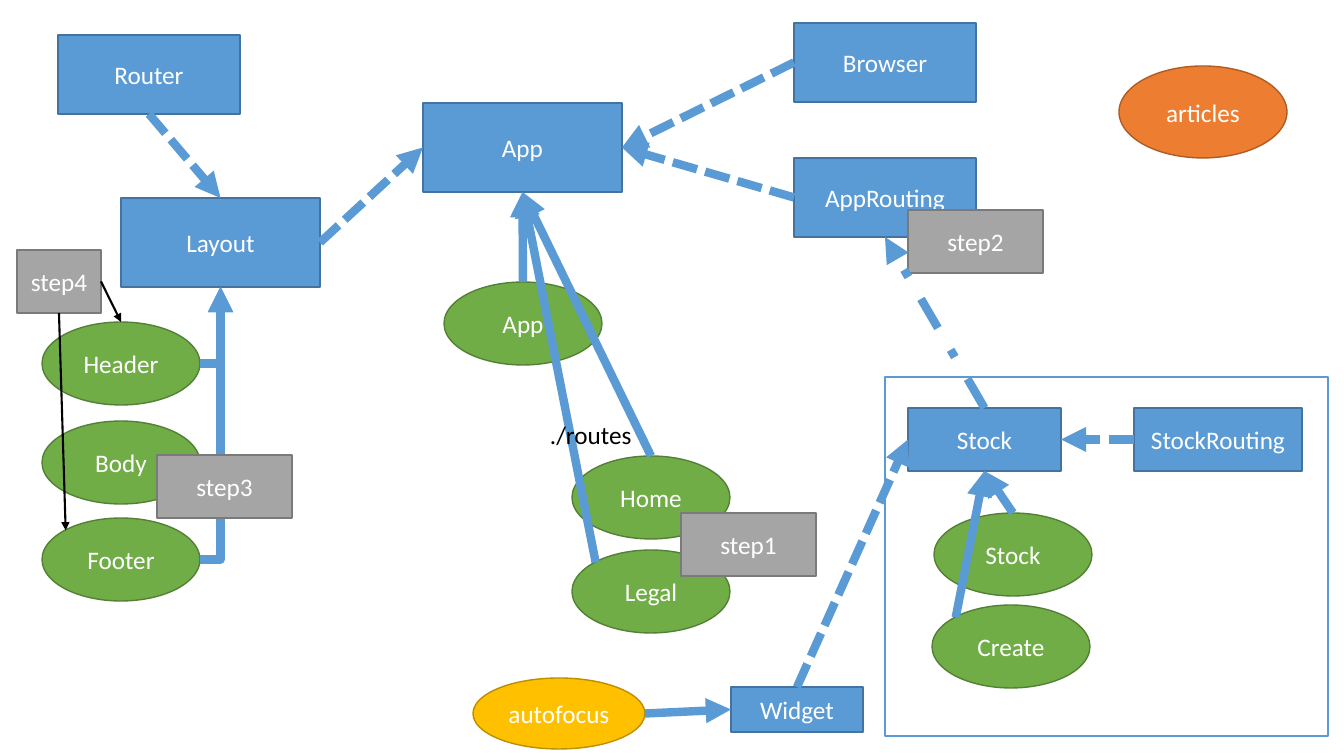
from lxml import etree
from pptx import Presentation
from pptx.dml.color import RGBColor
from pptx.enum.shapes import MSO_CONNECTOR, MSO_SHAPE
from pptx.enum.text import MSO_ANCHOR, PP_ALIGN
from pptx.oxml.ns import qn
from pptx.util import Pt

PX = 914400 / 100.8
WHITE = RGBColor(0xFF, 0xFF, 0xFF)
BLACK = RGBColor(0x00, 0x00, 0x00)
BLUE = RGBColor(0x5B, 0x9B, 0xD5)
BLUE_EDGE = RGBColor(0x43, 0x73, 0x9E)
GREEN = RGBColor(0x70, 0xAD, 0x47)
GREEN_EDGE = RGBColor(0x53, 0x80, 0x35)
GRAY = RGBColor(0xA5, 0xA5, 0xA5)
GRAY_EDGE = RGBColor(0x7A, 0x7A, 0x7A)
ORANGE = RGBColor(0xED, 0x7D, 0x31)
ORANGE_EDGE = RGBColor(0xAF, 0x5C, 0x24)
GOLD = RGBColor(0xFF, 0xC0, 0x00)
GOLD_EDGE = RGBColor(0xBD, 0x8E, 0x00)

RECT, OVAL = MSO_SHAPE.RECTANGLE, MSO_SHAPE.OVAL
MODULE = (RECT, BLUE, BLUE_EDGE)
COMPONENT = (OVAL, GREEN, GREEN_EDGE)
STEP = (RECT, GRAY, GRAY_EDGE)
PANEL = (RECT, WHITE, BLUE)
ARTICLES = (OVAL, ORANGE, ORANGE_EDGE)
DIRECTIVE = (OVAL, GOLD, GOLD_EDGE)

OVAL_SIZE = (158, 83)
STEP_SIZE = (135, 63)
ROOT_SIZE = (199, 89)
ROUTER_SIZE = (182, 79)

SITE_POINTS = {"top": (0.5, 0), "left": (0, 0.5), "bottom": (0.5, 1),
               "right": (1, 0.5), "top left": (0.15, 0.15)}
SITE_INDEX = {RECT: {"top": 0, "left": 1, "bottom": 2, "right": 3},
              OVAL: {"top": 0, "top left": 1, "left": 2, "bottom": 4, "right": 6}}


def px(value):
    return round(value * PX)


def write(shape, text, color):
    run = shape.text_frame.paragraphs[0].add_run()
    run.text = text
    run.font.name = "Calibri"
    run.font.size = Pt(18)
    run.font.color.rgb = color


def node(slide, box, style, text, left, top, width, height):
    kind, fill, edge = style
    shape = slide.shapes.add_shape(
        kind, px(box[0] + left), px(box[1] + top), px(width), px(height))
    shape.shadow.inherit = False
    shape.fill.solid()
    shape.fill.fore_color.rgb = fill
    shape.line.color.rgb = edge
    shape.line.width = Pt(1)
    if text:
        shape.text_frame.vertical_anchor = MSO_ANCHOR.MIDDLE
        shape.text_frame.paragraphs[0].alignment = PP_ALIGN.CENTER
        write(shape, text, WHITE)
    return shape


def site_position(shape, site):
    across, down = SITE_POINTS[site]
    return (round(shape.left + across * shape.width),
            round(shape.top + down * shape.height))


def arrow(slide, source, source_site, target, target_site,
          dash=None, color=BLUE, width=6, bent=False):
    kind = MSO_CONNECTOR.ELBOW if bent else MSO_CONNECTOR.STRAIGHT
    line = slide.shapes.add_connector(
        kind, *site_position(source, source_site), *site_position(target, target_site))
    line.line.color.rgb = color
    line.line.width = Pt(width)
    properties = line._element.spPr
    if bent:
        properties.find(qn("a:prstGeom")).set("prst", "bentConnector2")
    outline = properties.find(qn("a:ln"))
    if dash:
        etree.SubElement(outline, qn("a:prstDash"), val=dash)
    etree.SubElement(outline, qn("a:tailEnd"), type="triangle")
    etree.SubElement(properties, qn("a:effectLst"))
    glue = line._element.nvCxnSpPr.cNvCxnSpPr
    for tag, shape, site in (("a:stCxn", source, source_site),
                             ("a:endCxn", target, target_site)):
        index = SITE_INDEX[shape.auto_shape_type][site]
        etree.SubElement(glue, qn(tag), id=str(shape.shape_id), idx=str(index))


def app_region(slide, box):
    app = node(slide, box, MODULE, "App", 0, 80, *ROOT_SIZE)
    app_component = node(slide, box, COMPONENT, "App", 21, 259, *OVAL_SIZE)
    arrow(slide, app_component, "top", app, "bottom")
    browser = node(slide, box, MODULE, "Browser", 371, 0, *ROUTER_SIZE)
    routing = node(slide, box, MODULE, "AppRouting", 371, 135, *ROUTER_SIZE)
    for module in (browser, routing):
        arrow(slide, module, "left", app, "right", "sysDash")
    home = node(slide, box, COMPONENT, "Home", 149, 433, *OVAL_SIZE)
    legal = node(slide, box, COMPONENT, "Legal", 149, 527, *OVAL_SIZE)
    arrow(slide, home, "top", app, "bottom")
    arrow(slide, legal, "top left", app, "bottom")
    label = slide.shapes.add_textbox(
        px(box[0] + 117), px(box[1] + 391), px(103), px(40))
    label.text_frame.word_wrap = False
    write(label, "./routes", BLACK)
    node(slide, box, STEP, "step2", 485, 187, *STEP_SIZE)
    node(slide, box, STEP, "step1", 258, 490, *STEP_SIZE)
    return routing


def layout_region(slide, box):
    header, body, footer = [
        node(slide, box, COMPONENT, name, 25, top, *OVAL_SIZE)
        for name, top in (("Header", 287), ("Body", 386), ("Footer", 483))]
    layout = node(slide, box, MODULE, "Layout", 104, 163, *ROOT_SIZE)
    for component in (header, body, footer):
        arrow(slide, component, "right", layout, "bottom", bent=True)
    node(slide, box, STEP, "step3", 140, 420, *STEP_SIZE)
    step4 = node(slide, box, STEP, "step4", 0, 215, 84, 63)
    arrow(slide, step4, "bottom", footer, "top left", color=BLACK, width=1.5)
    arrow(slide, step4, "right", header, "top", color=BLACK, width=1.5)
    router = node(slide, box, MODULE, "Router", 41, 0, *ROUTER_SIZE)
    arrow(slide, router, "bottom", layout, "top", "sysDash")
    return layout


def stock_region(slide, box):
    node(slide, box, PANEL, "", 0, 0, 443, 359)
    stock_component = node(slide, box, COMPONENT, "Stock", 49, 136, *OVAL_SIZE)
    create = node(slide, box, COMPONENT, "Create", 47, 228, *OVAL_SIZE)
    stock = node(slide, box, MODULE, "Stock", 23, 31, 153, 63)
    routing = node(slide, box, MODULE, "StockRouting", 249, 31, 168, 63)
    arrow(slide, routing, "left", stock, "right", "sysDash")
    arrow(slide, stock_component, "top", stock, "bottom")
    arrow(slide, create, "top left", stock, "bottom")
    return stock


def widget_region(slide, box):
    autofocus = node(slide, box, DIRECTIVE, "autofocus", 0, 0, 172, 71)
    widget = node(slide, box, MODULE, "Widget", 258, 9, 132, 45)
    arrow(slide, autofocus, "right", widget, "left")
    return widget


def module_diagram(slide, box):
    left, top = box
    routing = app_region(slide, (left + 423, top + 23))
    layout = layout_region(slide, (left + 17, top + 35))
    stock = stock_region(slide, (left + 885, top + 377))
    widget = widget_region(slide, (left + 473, top + 678))
    node(slide, box, ARTICLES, "articles", 1119, 66, 168, 92)
    app = next(s for s in slide.shapes if s.has_text_frame and s.text_frame.text == "App")
    arrow(slide, layout, "right", app, "left", "sysDash")
    arrow(slide, stock, "top", routing, "bottom", "dashDot")
    arrow(slide, widget, "top", stock, "left", "sysDash")


presentation = Presentation()
presentation.slide_width = px(1344)
presentation.slide_height = px(756)
module_diagram(presentation.slides.add_slide(presentation.slide_layouts[6]), (0, 0))
presentation.save("out.pptx")
